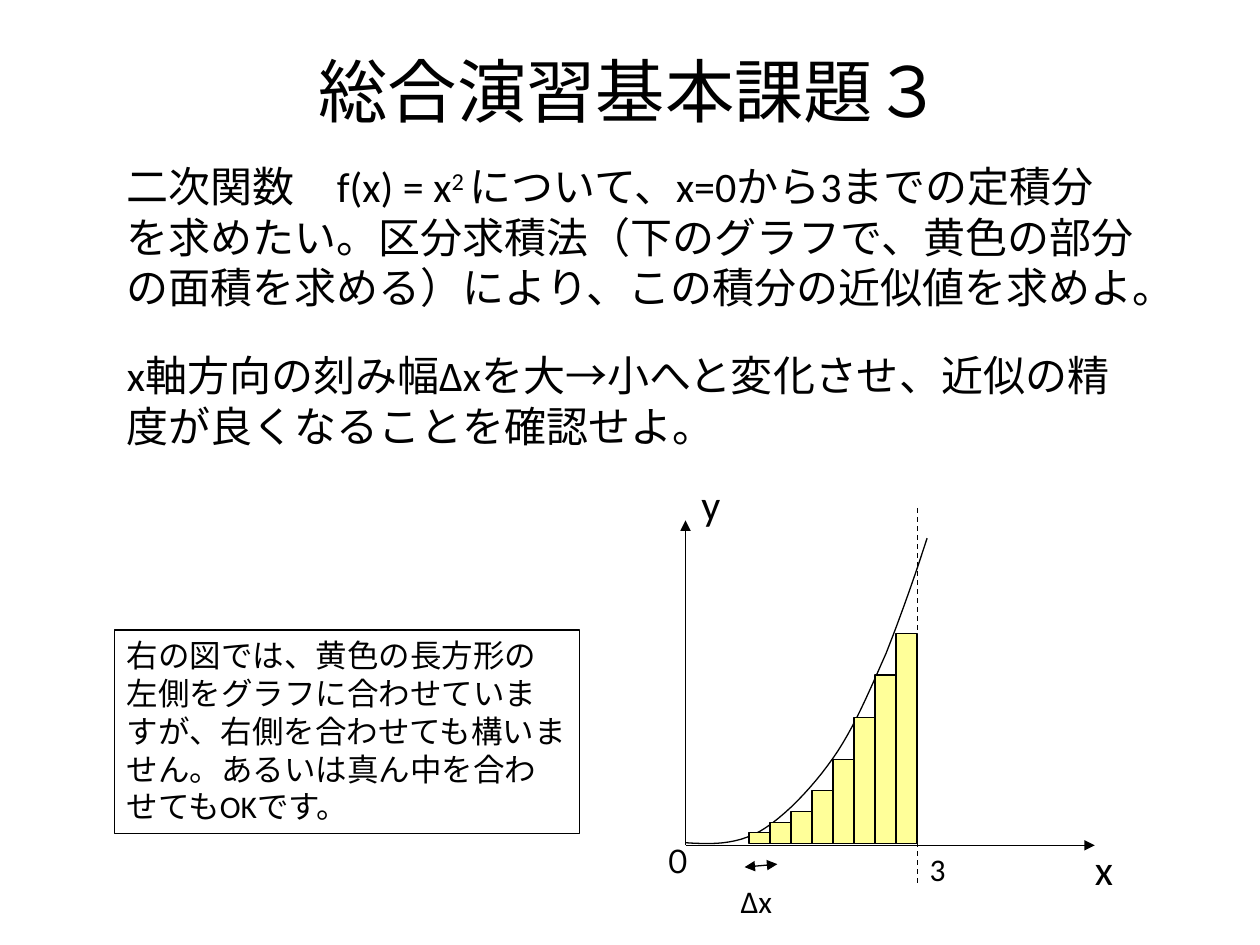
from pptx import Presentation
from pptx.dml.color import RGBColor as RGB
from pptx.enum.dml import MSO_LINE_DASH_STYLE as DASH
from pptx.enum.lang import MSO_LANGUAGE_ID as LANG
from pptx.enum.shapes import MSO_CONNECTOR_TYPE as CONN, MSO_SHAPE as SHAPE
from pptx.enum.text import MSO_ANCHOR as ANCHOR, MSO_AUTO_SIZE as AUTO, PP_ALIGN as ALIGN
from pptx.oxml.ns import qn
from pptx.util import Cm, Pt
from lxml.etree import SubElement

COLORS = {"ink": "000000", "bar": "FFFF99"}


class Deck:
    font = {"name": "Calibri", "language_id": LANG.JAPANESE}
    line_width = Pt(0.75)

    def __init__(self, width, height):
        self.prs = Presentation()
        self.prs.slide_width, self.prs.slide_height = Cm(width), Cm(height)
        self.s = self.prs.slides.add_slide(self.prs.slide_layouts[6])

    def color(self, name):
        return RGB.from_string(COLORS[name])

    def outline(self, sp):
        sp.line.color.rgb = self.color("ink")
        sp.line.width = self.line_width

    def fill(self, sp, name):
        sp.shadow.inherit = False
        if name:
            sp.fill.solid()
            sp.fill.fore_color.rgb = self.color(name)
        else:
            sp.fill.background()
        self.outline(sp)

    def set_text(self, sp, lines, size, wrap=True, anchor=ANCHOR.TOP, align=ALIGN.LEFT,
                 auto=AUTO.SHAPE_TO_FIT_TEXT):
        tf = sp.text_frame
        frame = {"word_wrap": wrap, "vertical_anchor": anchor, "auto_size": auto}
        for key, value in frame.items():
            setattr(tf, key, value)
        p = tf.paragraphs[0]
        p.alignment = align
        for i, runs in enumerate(lines):
            if i:
                p.add_line_break()
            for text, raised in runs:
                r = p.add_run()
                r.text = text
                for key, value in {**self.font, "size": Pt(size)}.items():
                    setattr(r.font, key, value)
                r.font.color.rgb = self.color("ink")
                if raised:
                    r.font._element.set("baseline", "30000")

    def text(self, box, lines, size, **style):
        sp = self.s.shapes.add_textbox(*map(Cm, box))
        self.set_text(sp, lines, size, **style)

    def label(self, x, y, w, h, text, size):
        self.text((x, y, w, h), [[(text, False)]], size, wrap=False)

    def rect(self, x, y, w, h, fill=None):
        sp = self.s.shapes.add_shape(SHAPE.RECTANGLE, *map(Cm, (x, y, w, h)))
        self.fill(sp, fill)
        return sp

    def line(self, x1, y1, x2, y2, ends=(), dash=None):
        sp = self.s.shapes.add_connector(CONN.STRAIGHT, *map(Cm, (x1, y1, x2, y2)))
        self.outline(sp)
        if dash:
            sp.line.dash_style = dash
        props = sp.element.spPr
        for end in ends:
            SubElement(props.find(qn("a:ln")), qn(f"a:{end}"), type="triangle")
        SubElement(props, qn("a:effectLst"))

    def curve(self, start, segments, steps=12):
        points, last = [], start
        for a, b, end in segments:
            for i in range(1, steps + 1):
                t = i / steps
                u = 1 - t
                weights = u ** 3, 3 * u * u * t, 3 * u * t * t, t ** 3
                knots = last, a, b, end
                points.append([Cm(sum(w * k[axis] for w, k in zip(weights, knots)))
                               for axis in (0, 1)])
            last = end
        builder = self.s.shapes.build_freeform(*map(Cm, start))
        builder.add_line_segments(points, close=False)
        self.fill(builder.convert_to_shape(), None)

    def save(self):
        self.prs.save("out.pptx")


def main():
    deck = Deck(25.4, 19.05)
    deck.text((2.13, 0.91, 21.16, 1.8), [[("総合演習基本課題３", False)]], 39.6,
              anchor=ANCHOR.MIDDLE, align=ALIGN.CENTER, auto=AUTO.NONE)

    origin_x, axis_y, limit_x = 13.82, 17.04, 18.49
    deck.line(origin_x, axis_y, 22.07, axis_y, ends=["tailEnd"])
    deck.line(origin_x, axis_y, origin_x, 10.49, ends=["tailEnd"])
    deck.label(13.11, 16.84, 0.94, 1.02, "０", 18)
    deck.curve((origin_x, 16.99), [
        ((14.33, 17.02), (14.81, 17.04), (15.32, 16.76)),
        ((15.8, 16.48), (16.36, 15.9), (16.79, 15.29)),
        ((17.22, 14.68), (17.53, 13.92), (17.86, 13.18)),
        ((18.16, 12.42), (18.44, 11.63), (18.69, 10.85)),
    ])

    bar_w, base_y = 3.39 / 8, 17.0
    heights = [4.23, 3.39, 2.54, 1.69, 1.06, 0.64, 0.42, 0.21]
    for i, h in enumerate(heights, 1):
        deck.rect(limit_x - i * bar_w, base_y - h, bar_w, h, "bar")

    deck.line(limit_x, 10.24, limit_x, 17.86, dash=DASH.DASH)
    deck.line(15.01, 17.48, 15.67, 17.42, ends=["headEnd", "tailEnd"])
    for args in [
        (18.49, 17.02, 0.86, 1.02, "3", 18),
        (14.68, 17.65, 1.32, 1.02, "Δx", 18),
        (21.82, 16.87, 0.89, 1.27, "x", 24),
        (13.89, 9.53, 0.89, 1.27, "y", 24),
    ]:
        deck.label(*args)

    deck.text((2.31, 3.12, 20.8, 6.4), [
        [("二次関数　f(x) = x", False), ("2 ", True),
         ("について、x=0から3までの定積分を求めたい。区分求積法（下のグラフで、"
          "黄色の部分の面積を求める）により、この積分の近似値を求めよ。", False)],
        [("x軸方向の刻み幅Δxを大→小へと変化させ、近似の精度が良くなることを確認せよ。", False)],
    ], 24)

    note = deck.rect(2.31, 12.7, 9.37, 4.11)
    deck.set_text(note, [[("右の図では、黄色の長方形の左側をグラフに合わせていますが、"
                           "右側を合わせても構いません。あるいは真ん中を合わせてもOKです。",
                           False)]], 18)
    deck.save()


if __name__ == "__main__":
    main()
